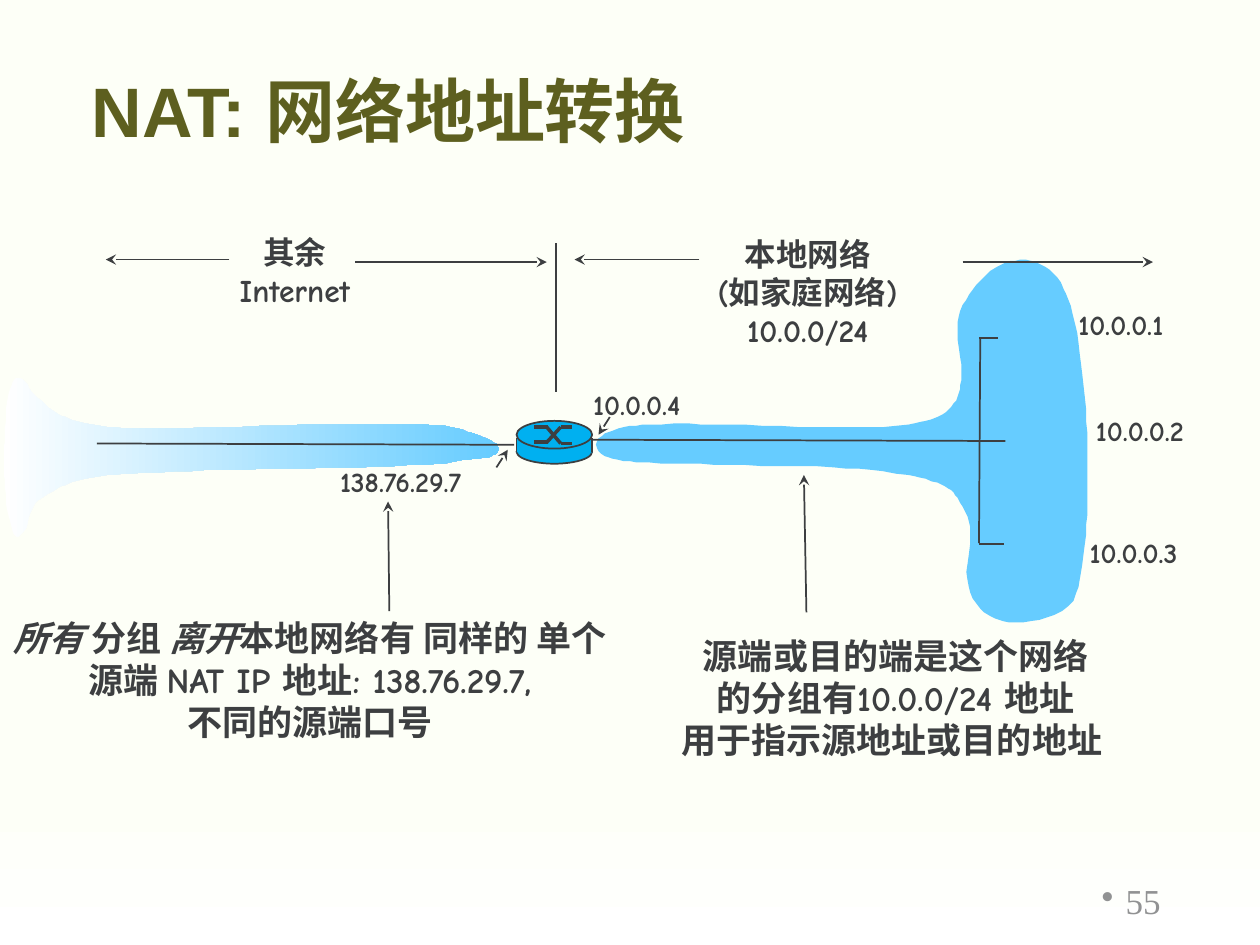
import math
import pptx
import pptx.util
import pptx.dml.color
import pptx.enum.shapes
import pptx.enum.text
import pptx.oxml.ns
import lxml.etree

PX = 9144  # one px is a hundredth of an inch
INK, SKY, BLUE, WHITE = "3D3F41", "66CCFF", "00B0F0", "FFFFFF"
KIND = pptx.enum.shapes.MSO_SHAPE
ALIGN = pptx.enum.text.PP_ALIGN
ANCHOR = pptx.enum.text.MSO_ANCHOR
FIT = pptx.enum.text.MSO_AUTO_SIZE
qn = pptx.oxml.ns.qn
MID = {"alignment": ALIGN.CENTER}
STRESS = ("所有 ", "离开")  # runs set in italics

# A pipe is a row of stations: x, height of its middle, half its width
FLARE = [(0, 64, 0), (1, 64, 20), (4, 61, 49), (12, 63, 63), (24, 57, 44), (42, 58, 30),
         (64, 58, 22), (100, 58, 18), (172, 56, 17), (272, 54, 17), (345, 53, 15),
         (373, 54, 10), (387, 56, 6), (393, 56, 0)]
STEM = [(0, 147, 0), (13, 147, 11), (42, 146, 15), (104, 147, 16), (189, 149, 16),
        (248, 151, 20), (275, 151, 28), (287, 149, 40)]
# The bulb at the end of the stem, clockwise
CROWN = [(290, 90), (287, 50), (299, 24), (322, 4), (345, 1), (366, 14)]
SIDE = [(378, 42), (386, 91), (390, 146), (390, 195), (386, 242)]
FOOT = [(375, 275), (339, 288), (308, 280), (295, 255), (297, 212)]


def tint(code):
    return pptx.dml.color.RGBColor.from_string(code)


def put(item, form):
    for key, val in form.items():
        setattr(item, key, val)


def place(box, part):
    x, y, w, h = part
    return [v * PX for v in (box[0] + x, box[1] + y, w, h)]


def sides(pipe):
    """Upper edge from left to right, lower edge from right to left."""
    top = [(x, mid - half) for x, mid, half in pipe]
    low = [(x, mid + half) for x, mid, half in reversed(pipe) if half]
    return top, low


def smooth(knots, steps=6):
    """Closed curve through the knots, each span a cubic Bezier."""
    count = len(knots)

    def lean(i):
        (a, b), (c, d) = knots[i - 1], knots[(i + 1) % count]
        size = math.hypot(c - a, d - b)
        return (c - a) / size, (d - b) / size

    curve = []
    for i, start in enumerate(knots):
        after = (i + 1) % count
        end = knots[after]
        reach = math.dist(start, end) / 3
        near = [p + reach * v for p, v in zip(start, lean(i))]
        far = [p - reach * v for p, v in zip(end, lean(after))]
        for t in (n / steps for n in range(steps)):
            u = 1 - t
            curve.append(tuple(
                u**3 * a + 3 * u * u * t * b + 3 * u * t * t * c + t**3 * d
                for a, b, c, d in zip(start, near, far, end)))
    return curve


def paint(shape, fill, edge=None):
    shape.shadow.inherit = False
    shape.fill.solid()
    shape.fill.fore_color.rgb = tint(fill)
    if edge:
        shape.line.color.rgb = tint(edge)
        shape.line.width = pptx.util.Pt(1)
    else:
        shape.line.fill.background()


def blend(shape, stops, angle):
    shape.fill.gradient()
    shape.fill.gradient_angle = angle
    for stop, (pos, code) in zip(shape.fill.gradient_stops, stops):
        stop.position = pos
        stop.color.rgb = tint(code)


def solid(page, box, kind, part, fill, edge=None):
    shape = page.shapes.add_shape(kind, *place(box, part))
    paint(shape, fill, edge)
    return shape


def cloud(page, box, knots):
    curve = smooth(knots)
    pen = page.shapes.build_freeform(*curve[0], scale=PX)
    pen.add_line_segments(curve[1:], close=True)
    shape = pen.convert_to_shape(box[0] * PX, box[1] * PX)
    paint(shape, SKY)
    return shape


def wire(page, box, ends, wide=1, head=False):
    x, y = box[:2]
    a, b, c, d = ends
    line = page.shapes.add_connector(
        pptx.enum.shapes.MSO_CONNECTOR.STRAIGHT,
        *[v * PX for v in (x + a, y + b, x + c, y + d)])
    line.line.color.rgb = tint(INK)
    line.line.width = pptx.util.Pt(wide)
    props = line._element.spPr
    if head:
        lxml.etree.SubElement(props.find(qn("a:ln")), qn("a:tailEnd"), type="stealth")
    lxml.etree.SubElement(props, qn("a:effectLst"))


def text(page, box, part, paras, size, font="Comic Neue", code=INK, bold=True,
         form=None, para=None):
    """Each paragraph is a list of runs."""
    frame = page.shapes.add_textbox(*place(box, part)).text_frame
    put(frame, {"word_wrap": True, "auto_size": FIT.SHAPE_TO_FIT_TEXT, **(form or {})})
    for num, runs in enumerate(paras):
        line = frame.add_paragraph() if num else frame.paragraphs[0]
        put(line, para or {})
        for words in runs:
            run = line.add_run()
            run.text = words
            put(run.font, {"size": pptx.util.Pt(size), "name": font, "bold": bold,
                           "italic": words in STRESS})
            run.font.color.rgb = tint(code)
    return frame


def frame(page, box):
    # Backdrop, title and page number
    back = solid(page, box, KIND.RECTANGLE, (0, 0, *box[2:]), WHITE)
    blend(back, [(0.84, "FDFFF7"), (1, WHITE)], 270)
    text(page, box, (63, 1, 885, 125), [["NAT: 网络地址转换"]], 40, "Arial", "5D5F1F",
         form={"auto_size": FIT.NONE, "vertical_anchor": ANCHOR.BOTTOM},
         para={"line_spacing": 0.9})
    num = text(page, box, (706, 695, 225, 40), [["55"]], 20, "Times New Roman",
               "919293", False,
               form={"auto_size": FIT.NONE, "vertical_anchor": ANCHOR.MIDDLE},
               para={"alignment": ALIGN.RIGHT})
    props = num.paragraphs[0]._p.get_or_add_pPr()
    props.set("marL", str(19 * PX))
    props.set("indent", str(-19 * PX))
    lxml.etree.SubElement(props, qn("a:buChar"), char="•")


def local(page, box):
    # Local network: cloud, bus with two branches, host addresses
    top, low = sides(STEM)
    cloud(page, box, top + CROWN + SIDE + FOOT + low)
    wire(page, box, (-6, 143, 325, 144))
    wire(page, box, (305, 62, 304, 225))
    for y, end in [(62, 319), (226, 324)]:
        wire(page, box, (304, y, end, y))
    for num, (x, y) in enumerate([(373, 33), (387, 117), (382, 214), (-12, 97)], 1):
        text(page, box, (x, y, 117, 37), [[f"10.0.0.{num}"]], 16)
    wire(page, box, (11, 125, 2, 139), head=True)


def outer(page, box):
    # Rest of the network
    top, low = sides(FLARE)
    blend(cloud(page, box, top + low), [(0, WHITE), (1, SKY)], 0)
    text(page, box, (257, 64, 158, 37), [["138.76.29.7"]], 16)
    wire(page, box, (391, 71, 400, 57), head=True)
    wire(page, box, (74, 52, 405, 53))


def router(page, box):
    wide = box[2]
    solid(page, box, KIND.OVAL, (0, 15, wide, 19), BLUE, INK)
    solid(page, box, KIND.RECTANGLE, (0, 14, wide, 11), BLUE)
    for x in (0, wide):
        wire(page, box, (x, 14, x, 25))
    solid(page, box, KIND.OVAL, (0, 0, wide, 22), BLUE, INK)
    # Crossed paths on the lid
    for top, low in [(5, 18), (17, 5)]:
        for ends in [(14, top, 25, top), (24, top, 35, low), (35, low, 44, low)]:
            wire(page, box, ends, 2)


def spans(page, box):
    # Extent of each side
    text(page, box, (475, 2, 164, 100),
         [["本地网络"], ["(如家庭网络)"], ["10.0.0/24"]], 18, para=MID)
    text(page, box, (88, 0, 124, 70), [["其余"], ["Internet"]], 18, para=MID)
    wire(page, box, (357, 13, 357, 131))
    for tail, tip, y in [(680, 831, 28), (471, 372, 26), (198, 350, 28), (98, 0, 26)]:
        wire(page, box, (tail, y, tip, y), head=True)


def note(page, box, ends, paras):
    # Remark with an arrow to its subject
    wire(page, box, ends, head=True)
    text(page, box, (0, 0, *box[2:]), paras, 20, para=MID)


def main():
    deck = pptx.Presentation()
    put(deck, {"slide_width": 1000 * PX, "slide_height": 750 * PX})
    page = deck.slides.add_slide(deck.slide_layouts[6])
    frame(page, (0, 0, 1000, 750))
    local(page, (473, 206, 391, 288))
    outer(page, (3, 300, 393, 126))
    router(page, (410, 334, 60, 34))
    spans(page, (84, 180, 831, 131))
    note(page, (527, 499, 368, 110), (113, -13, 111, -122),
         [["源端或目的端是这个网络"], ["的分组有10.0.0/24 地址"],
          ["用于指示源地址或目的地址 "]])
    note(page, (0, 484, 492, 177), (309, 1, 308, -86),
         [["所有 ", "分组 ", "离开",
           "本地网络有 同样的 单个源端 NAT IP 地址: 138.76.29.7,"], ["不同的源端口号"]])
    deck.save("out.pptx")


if __name__ == "__main__":
    main()
